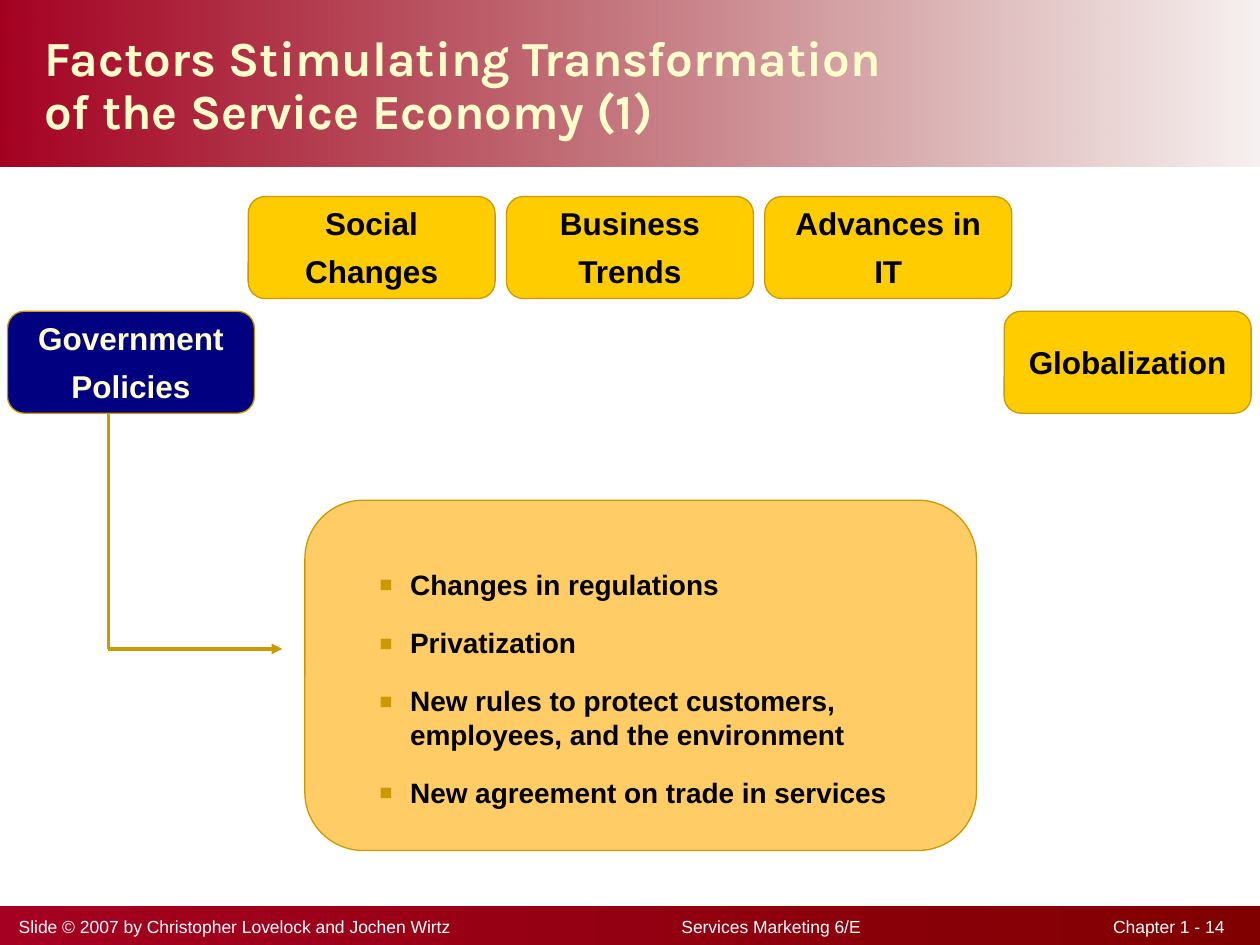
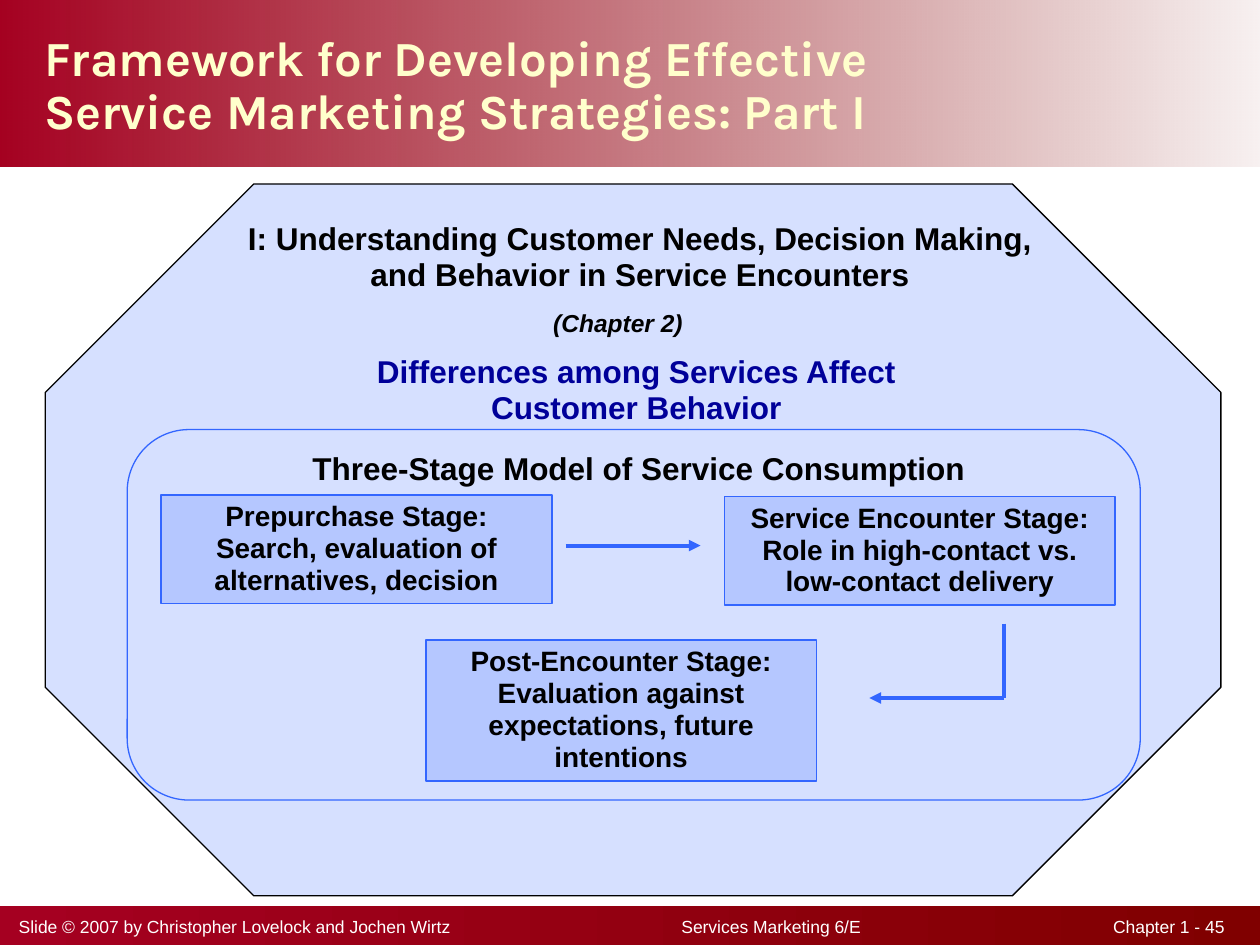
from dataclasses import dataclass
from itertools import pairwise

from lxml.etree import SubElement
from pptx import Presentation
from pptx.dml.color import RGBColor
from pptx.enum.shapes import MSO_CONNECTOR, MSO_SHAPE
from pptx.enum.text import MSO_ANCHOR, MSO_AUTO_SIZE, PP_ALIGN
from pptx.oxml.ns import qn
from pptx.util import Inches, Pt


@dataclass(frozen=True)
class Theme:
    heading_font: str = "Karla"
    body_font: str = "Arial"
    title_size: float = 28
    label_size: float = 18
    detail_size: float = 16
    note_size: float = 14
    footer_size: float = 10
    crimson: str = "A50021"
    maroon: str = "800000"
    cream: str = "FFFFCC"
    white: str = "FFFFFF"
    black: str = "000000"
    navy: str = "000080"
    indigo: str = "000099"
    yellow: str = "FFCC00"
    apricot: str = "FFCC66"
    gold: str = "CC9900"
    blue: str = "3366FF"


THEME = Theme()

FOOTER = "Slide © 2007 by Christopher Lovelock and Jochen Wirtz\tServices Marketing 6/E\tChapter 1 - {}"
FOOTER_TABS = ((5.26, "l"), (9.57, "r"))

FACTORS_TITLE = "Factors Stimulating Transformation\vof the Service Economy (1)"
TILE_SIZE = (1.96, 0.81)
TOP_ROW = ["Social\nChanges", "Business\nTrends", "Advances in\nIT"]
TOP_ROW_START, TOP_ROW_STEP, TOP_ROW_Y = 1.97, 2.05, 1.56
SIDE_ROW_Y = 2.47
POLICY_TILE = ("Government\nPolicies", 0.06)
GLOBAL_TILE = ("Globalization", 7.97)
POLICY_PANEL = (2.42, 3.97, 5.33, 2.78)
POLICY_ROUTE = [(0.86, 3.28), (0.86, 5.15), (2.24, 5.15)]
POLICY_CHANGES = [
    "Changes in regulations",
    "Privatization",
    "New rules to protect customers, employees, and the environment",
    "New agreement on trade in services",
]

FRAMEWORK_TITLE = "Framework for Developing Effective\vService Marketing Strategies: Part I"
OCTAGON = (0.36, 1.46, 9.33, 5.65)
MODEL_FRAME = (1.01, 3.41, 8.04, 2.94)
HEADINGS = [
    ("I: Understanding Customer Needs, Decision Making, and Behavior in Service Encounters",
     (1.85, 1.71, 6.46, 1.11), THEME.black),
    ("Differences among Services Affect\vCustomer Behavior", (2.14, 2.77, 5.82, 0.67), THEME.indigo),
    ("Three-Stage Model of Service Consumption", (2.16, 3.54, 5.82, 0.39), THEME.black),
]
CHAPTER_NOTE = ("(Chapter 2)", (4.29, 2.41, 1.23, 0.32))
STAGES = [
    ("Prepurchase Stage: Search, evaluation of alternatives, decision", (1.28, 3.93, 3.1, 0.86)),
    ("Service Encounter Stage: Role in high-contact vs. low-contact delivery", (5.75, 3.94, 3.1, 0.86)),
    ("Post-Encounter Stage: Evaluation against expectations, future intentions", (3.38, 5.08, 3.1, 1.12)),
]
STAGE_ROUTES = [
    [(4.49, 4.33), (5.56, 4.33)],
    [(7.97, 4.95), (7.97, 5.54), (6.9, 5.54)],
]


def rgb(color):
    return RGBColor.from_string(color)


def set_alpha(color_element, percent):
    SubElement(color_element, qn("a:alpha"), val=str(percent * 1000))


def add_box(slide, kind, box, fill=None, line=None, width=0.75, alpha=None):
    shape = slide.shapes.add_shape(kind, *map(Inches, box))
    shape.shadow.inherit = False
    if fill:
        shape.fill.solid()
        shape.fill.fore_color.rgb = rgb(fill)
        if alpha:
            set_alpha(shape.element.spPr.find(qn("a:solidFill"))[0], alpha)
    else:
        shape.fill.background()
    if line:
        shape.line.color.rgb = rgb(line)
        shape.line.width = Pt(width)
    else:
        shape.line.fill.background()
    return shape


def add_band(slide, box, end_alpha=None):
    band = add_box(slide, MSO_SHAPE.RECTANGLE, box)
    band.fill.gradient()
    band.fill.gradient_angle = 0
    for stop, color in zip(band.fill.gradient_stops, (THEME.crimson, THEME.maroon)):
        stop.color.rgb = rgb(color)
    if end_alpha:
        last_stop = band.element.spPr.findall(".//" + qn("a:gs"))[-1]
        set_alpha(last_stop[0], end_alpha)


def write(shape, text, size, color, align=PP_ALIGN.CENTER, font=THEME.body_font, bold=True,
          italic=False, spacing=None, before=0, anchor=MSO_ANCHOR.TOP, wrap=True):
    frame = shape.text_frame
    frame.auto_size = MSO_AUTO_SIZE.NONE
    frame.word_wrap = wrap
    frame.vertical_anchor = anchor
    frame.text = text
    for index, paragraph in enumerate(frame.paragraphs):
        paragraph.alignment = align
        paragraph.line_spacing = spacing
        paragraph.space_before = Pt(before if index else 0)
        for run in paragraph.runs:
            run.font.name = font
            run.font.size = Pt(size)
            run.font.bold = bold
            run.font.italic = italic
            run.font.color.rgb = rgb(color)
    return frame


def set_margins(frame, left, top, right, bottom):
    frame.margin_left, frame.margin_top = Inches(left), Inches(top)
    frame.margin_right, frame.margin_bottom = Inches(right), Inches(bottom)


def add_text(slide, text, box, *args, **options):
    return write(slide.shapes.add_textbox(*map(Inches, box)), text, *args, **options)


def add_route(slide, points, color, width):
    segments = list(pairwise(points))
    for start, end in segments:
        connector = slide.shapes.add_connector(MSO_CONNECTOR.STRAIGHT, *map(Inches, start + end))
        connector.line.color.rgb = rgb(color)
        connector.line.width = Pt(width)
        properties = connector.element.spPr
        if (start, end) == segments[-1]:
            SubElement(properties.find(qn("a:ln")), qn("a:tailEnd"), type="triangle")
        SubElement(properties, qn("a:effectLst"))


def add_slide(presentation, title_text, number):
    slide = presentation.slides.add_slide(presentation.slide_layouts[5])
    add_band(slide, (0, 0, 10, 1.32), end_alpha=6)
    add_band(slide, (0, 7.19, 10, 0.31))

    title = slide.shapes.title
    title.element.getparent().append(title.element)
    title.left, title.top, title.width, title.height = map(Inches, (0.25, 0.03, 8.25, 1.32))
    write(title, title_text, THEME.title_size, THEME.cream, PP_ALIGN.LEFT,
          THEME.heading_font, spacing=0.9, anchor=MSO_ANCHOR.MIDDLE)

    footer = add_text(slide, FOOTER.format(number), (0.05, 7.22, 9.83, 0.27), THEME.footer_size,
                      THEME.white, PP_ALIGN.LEFT, bold=False)
    tab_list = SubElement(footer.paragraphs[0]._p.get_or_add_pPr(), qn("a:tabLst"))
    for position, align in FOOTER_TABS:
        SubElement(tab_list, qn("a:tab"), pos=str(Inches(position)), algn=align)
    return slide


def add_tile(slide, text, left, top, fill=THEME.yellow, color=THEME.black):
    tile = add_box(slide, MSO_SHAPE.ROUNDED_RECTANGLE, (left, top, *TILE_SIZE), fill, THEME.gold)
    frame = write(tile, text, THEME.label_size, color, spacing=0.75, before=11.2,
                  anchor=MSO_ANCHOR.MIDDLE)
    set_margins(frame, 0.05, 0.06, 0.05, 0)


def add_bullets(frame):
    for paragraph in frame.paragraphs:
        paragraph.space_after = Pt(14)
        properties = paragraph._p.get_or_add_pPr()
        properties.set("marL", str(Inches(0.25)))
        properties.set("indent", str(-Inches(0.25)))
        bullet_color = SubElement(properties, qn("a:buClr"))
        SubElement(bullet_color, qn("a:srgbClr"), val=THEME.gold)
        SubElement(properties, qn("a:buSzPct"), val="150000")
        SubElement(properties, qn("a:buFont"), typeface=THEME.body_font)
        SubElement(properties, qn("a:buChar"), char="▪")


def build_factors(presentation):
    slide = add_slide(presentation, FACTORS_TITLE, 14)
    add_tile(slide, *POLICY_TILE, SIDE_ROW_Y, THEME.navy, THEME.cream)
    for index, text in enumerate(TOP_ROW):
        add_tile(slide, text, TOP_ROW_START + index * TOP_ROW_STEP, TOP_ROW_Y)
    add_tile(slide, *GLOBAL_TILE, SIDE_ROW_Y)

    panel = add_box(slide, MSO_SHAPE.ROUNDED_RECTANGLE, POLICY_PANEL, THEME.apricot, THEME.gold)
    frame = write(panel, "\n".join(POLICY_CHANGES), THEME.detail_size, THEME.black, PP_ALIGN.LEFT)
    set_margins(frame, 0.45, 0.4, 0.15, 0)
    add_bullets(frame)
    add_route(slide, POLICY_ROUTE, THEME.gold, 2)


def build_framework(presentation):
    slide = add_slide(presentation, FRAMEWORK_TITLE, 45)
    add_box(slide, MSO_SHAPE.OCTAGON, OCTAGON, THEME.blue, THEME.black, alpha=20)
    for text, box, color in HEADINGS:
        add_text(slide, text, box, THEME.label_size, color, spacing=0.95)
    for text, box in STAGES:
        stage = add_box(slide, MSO_SHAPE.RECTANGLE, box, THEME.blue, THEME.blue, 1, alpha=20)
        write(stage, text, THEME.detail_size, THEME.black, spacing=0.95)
    for points in STAGE_ROUTES:
        add_route(slide, points, THEME.blue, 2.25)
    add_box(slide, MSO_SHAPE.ROUNDED_RECTANGLE, MODEL_FRAME, line=THEME.blue)
    add_text(slide, *CHAPTER_NOTE, THEME.note_size, THEME.black, italic=True, spacing=0.95, wrap=False)


def main():
    presentation = Presentation()
    presentation.slide_width, presentation.slide_height = Inches(10), Inches(7.5)
    build_factors(presentation)
    build_framework(presentation)
    presentation.save("out.pptx")


if __name__ == "__main__":
    main()
